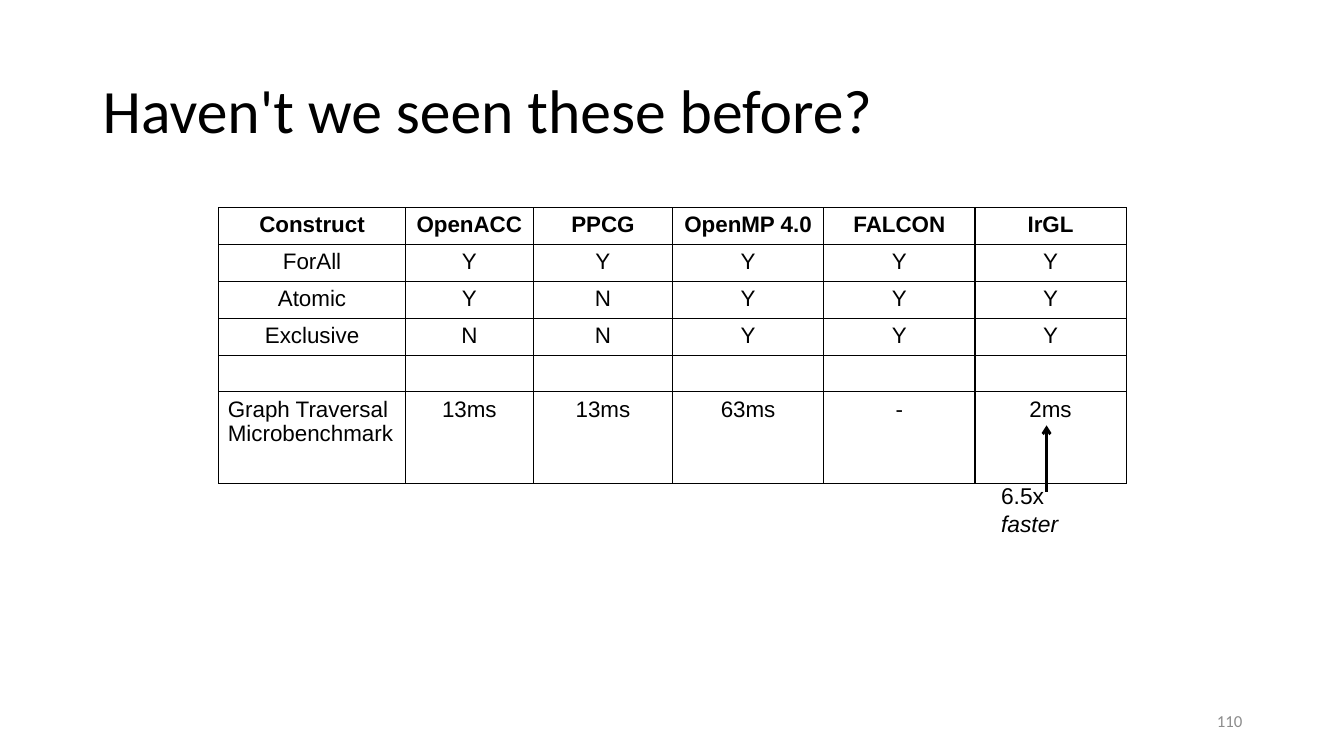
"""Build the slide comparing parallel constructs across GPU compilers."""
from lxml import etree
from pptx import Presentation
from pptx.dml.color import RGBColor
from pptx.enum import shapes, text
from pptx.oxml import ns
from pptx.util import Inches, Pt

BLACK = RGBColor(0, 0, 0)
GRAY = RGBColor(0x8C, 0x8C, 0x8C)
CENTER = text.PP_ALIGN.CENTER


def style(para, face, size, color=BLACK, bold=False):
    font = para.font
    font.name, font.size, font.bold = face, Pt(size), bold
    font.color.rgb = color


def add_text(box, words, face, size, color=BLACK, wrap=True):
    area = slide.shapes.add_textbox(*map(Inches, box)).text_frame
    area.word_wrap = wrap
    area.vertical_anchor = text.MSO_ANCHOR.MIDDLE
    para = area.paragraphs[0]
    para.text = words
    style(para, face, size, color)
    return para


deck = Presentation()
deck.slide_width, deck.slide_height = Inches(13.33), Inches(7.5)
slide = deck.slides.add_slide(deck.slide_layouts[6])

title = add_text((0.92, 0.74, 11.5, 0.77), "Haven't we seen these before?", "Calibri", 44)
title.line_spacing = 0.9
number = add_text((9.42, 6.95, 3, 0.4), "110", "Calibri", 12, GRAY)
number.alignment = text.PP_ALIGN.RIGHT

rows = [
    ["Construct", "OpenACC", "PPCG", "OpenMP 4.0", "FALCON", "IrGL"],
    ["ForAll", "Y", "Y", "Y", "Y", "Y"],
    ["Atomic", "Y", "N", "Y", "Y", "Y"],
    ["Exclusive", "N", "N", "Y", "Y", "Y"],
    [""] * 6,
    ["Graph Traversal\nMicrobenchmark", "13ms", "13ms", "63ms", "-", "2ms"],
]
widths = [1.85, 1.27, 1.38, 1.5, 1.5, 1.5]
heights = [0.36] * 5 + [0.91]
frame = slide.shapes.add_table(6, 6, Inches(2.17), Inches(2.06), Inches(9), Inches(2.72))
table = frame.table
table.first_row = table.horz_banding = False
for col, width in zip(table.columns, widths):
    col.width = Inches(width)
for r, row in enumerate(rows):
    table.rows[r].height = Inches(heights[r])
    for c, words in enumerate(row):
        cell = table.cell(r, c)
        cell.text = words
        cell.margin_left = cell.margin_right = Inches(0.09)
        cell.margin_top = cell.margin_bottom = Inches(0.05 if words else 0)
        for para in cell.text_frame.paragraphs:
            style(para, "Arial", 16, bold=r == 0)
            para.alignment = text.PP_ALIGN.LEFT if "\n" in words else CENTER
        props = cell._tc.get_or_add_tcPr()
        for side in ("lnL", "lnR", "lnT", "lnB"):
            edge = etree.SubElement(props, ns.qn("a:" + side), w=str(Pt(1)))
            fill = etree.SubElement(edge, ns.qn("a:solidFill"))
            etree.SubElement(fill, ns.qn("a:srgbClr"), val=str(BLACK))
        cell.fill.background()

note = add_text((9.83, 4.88, 1.25, 0.35), "6.5x ", "Arial", 16.3, wrap=False)
faster = note.add_run()
faster.text = "faster"
faster.font.italic = True

arrow = slide.shapes.add_connector(
    shapes.MSO_CONNECTOR.STRAIGHT, Inches(10.38), Inches(4.88), Inches(10.38), Inches(4.22))
arrow.line.color.rgb = BLACK
arrow.line.width = Pt(2)
etree.SubElement(arrow.line._get_or_add_ln(), ns.qn("a:tailEnd"), type="arrow")
etree.SubElement(arrow._element.spPr, ns.qn("a:effectLst"))

deck.save("out.pptx")
